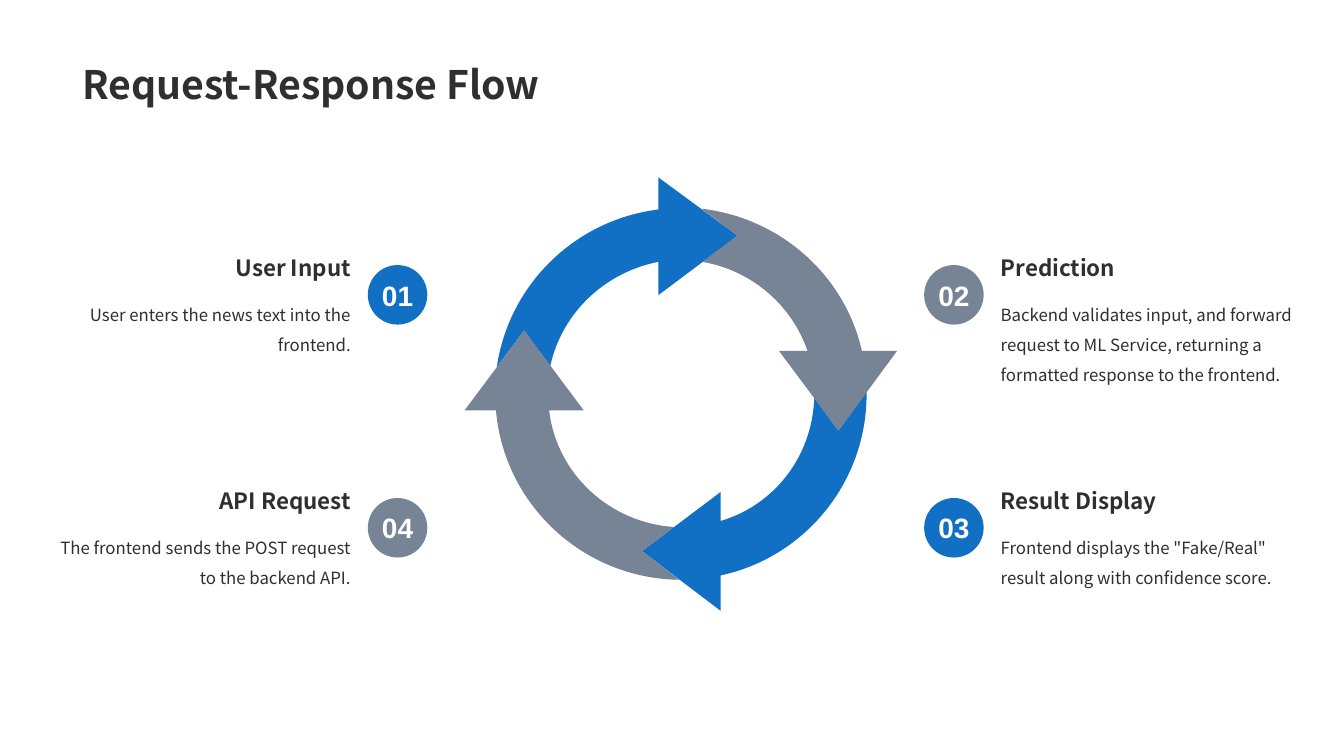
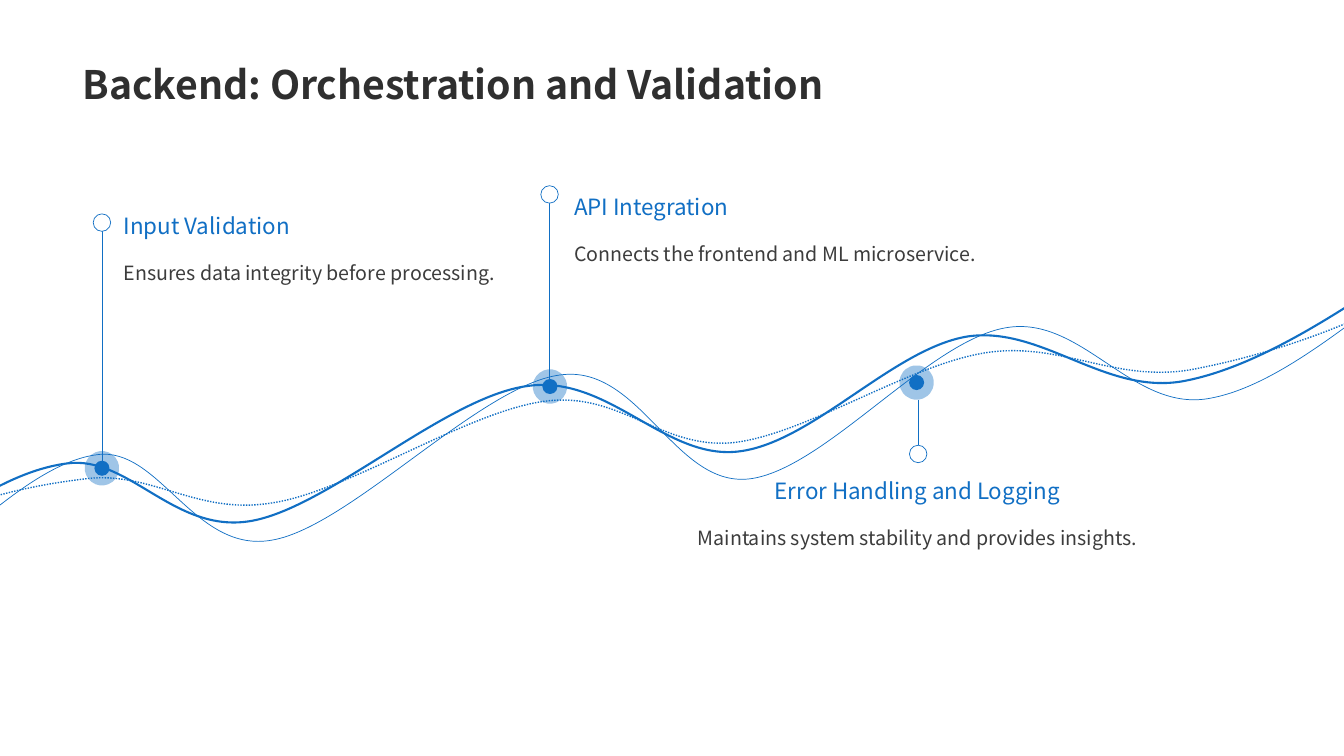
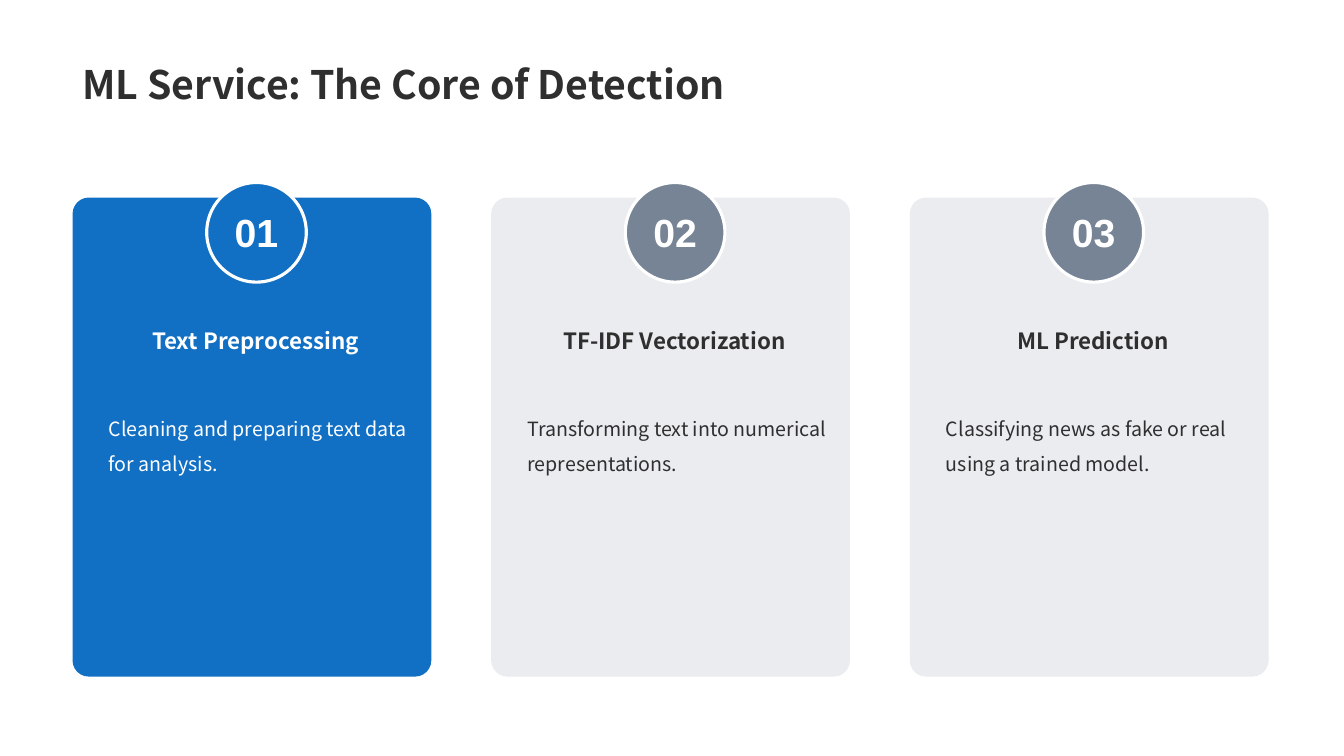
from typing import NamedTuple, Optional

from pptx import Presentation
from pptx.dml.color import RGBColor
from pptx.enum.dml import MSO_LINE
from pptx.enum.shapes import MSO_CONNECTOR, MSO_SHAPE
from pptx.enum.text import MSO_ANCHOR, PP_ALIGN
from pptx.oxml.ns import qn
from pptx.oxml.xmlchemy import OxmlElement
from pptx.util import Cm, Pt

BODY_FONT, NUMBER_FONT = "Noto Sans CJK SC", "Arial"
BLUE, GREY, INK, SOFT_INK, WHITE = "116FC4", "778495", "2F2F2F", "3C3C3C", "FFFFFF"
LEFT, CENTER, RIGHT = PP_ALIGN.LEFT, PP_ALIGN.CENTER, PP_ALIGN.RIGHT


class Box(NamedTuple):
    """Place and size in centimetres."""
    left: float
    top: float
    width: float
    height: float


class Step(NamedTuple):
    number: str
    heading: str
    body: str
    color: str
    on_left: bool
    top: float


class Wave(NamedTuple):
    weight: float
    dash: Optional[MSO_LINE]
    points: list


class Milestone(NamedTuple):
    heading: str
    body: str
    text_left: float
    text_top: float
    text_width: float
    align: PP_ALIGN
    dot: tuple
    pin_x: float
    pin_from: float
    pin_to: float
    ring_y: float


class Card(NamedTuple):
    number: str
    heading: str
    body: str
    color: str
    opacity: int
    badge_color: str
    text_color: str


# Each outline starts with a point; then one point is a line, three are a curve.
ARROWS = [
    (BLUE, (21.13, 10.85), [
        [(20.52, 10.03)],
        [(20.47, 11.51), (19.51, 12.73), (18.16, 13.13)],
        [(18.16, 12.4)], [(16.18, 13.89)], [(18.16, 15.39)], [(18.16, 14.5)],
        [(20.27, 14.05), (21.84, 12.17), (21.84, 9.93)],
        [(21.84, 9.88)]]),
    (BLUE, (13.21, 8.33), [
        [(13.87, 9.22)],
        [(14.15, 7.9), (15.24, 6.86), (16.59, 6.6)],
        [(16.59, 7.44)], [(18.59, 5.94)], [(16.59, 4.47)], [(16.59, 5.28)],
        [(14.5, 5.54), (12.83, 7.16), (12.52, 9.25)]]),
    (GREY, (16.18, 13.89), [
        [(16.99, 13.28)],
        [(15.37, 13.18), (14.02, 11.94), (13.84, 10.34)],
        [(14.71, 10.34)], [(13.21, 8.33)], [(11.71, 10.34)], [(12.5, 10.34)],
        [(12.7, 12.7), (14.68, 14.58), (17.12, 14.61)]]),
    (GREY, (21.72, 8.84), [
        [(21.29, 6.93), (19.66, 5.49), (17.68, 5.26)],
        [(18.59, 5.94)], [(17.7, 6.6)],
        [(18.95, 6.81), (19.96, 7.7), (20.35, 8.84)],
        [(19.63, 8.84)], [(21.13, 10.85)], [(22.61, 8.84)]]),
]

STEPS = [
    Step("01", "User Input", "User enters the news text into the frontend.",
         BLUE, True, 6.27),
    Step("02", "Prediction", "Backend validates input, and forward request to ML Service, "
         "returning a formatted response to the frontend.", GREY, False, 6.27),
    Step("03", "Result Display", 'Frontend displays the "Fake/Real" result along with '
         "confidence score.", BLUE, False, 12.14),
    Step("04", "API Request", "The frontend sends the POST request to the backend API.",
         GREY, True, 12.14),
]

WAVES = [
    Wave(1.5, None, [
        (-3.15, 14.4), (-1.52, 13.13), (0.1, 11.89), (1.68, 11.68), (3.25, 11.46),
        (4.39, 13.46), (6.32, 13.13), (8.26, 12.8), (11.23, 10.01), (13.28, 9.73),
        (15.32, 9.42), (16.74, 11.58), (18.59, 11.38), (20.45, 11.18), (22.5, 8.79),
        (24.38, 8.48), (26.26, 8.2), (27.86, 9.98), (29.85, 9.6), (31.83, 9.22),
        (34.04, 7.7), (36.27, 6.17)]),
    Wave(1, MSO_LINE.ROUND_DOT, [
        (-3.18, 14), (-1.55, 12.73), (0.46, 12.27), (2.13, 12.07), (3.81, 11.84),
        (4.95, 13), (6.88, 12.67), (8.81, 12.37), (11.79, 10.36), (13.74, 10.11),
        (15.67, 9.86), (16.66, 11.35), (18.52, 11.15), (20.35, 10.92), (22.91, 9.19),
        (24.84, 8.89), (26.77, 8.59), (28.12, 9.68), (30.1, 9.3), (32.08, 8.92),
        (34.67, 8.08), (36.88, 6.55)]),
    Wave(0.5, None, [
        (-2.62, 14.91), (-0.99, 13.64), (0.86, 11.66), (2.44, 11.46), (4.01, 11.23),
        (4.9, 13.97), (6.86, 13.61), (8.81, 13.28), (12.12, 9.7), (14.12, 9.45),
        (16.13, 9.17), (16.99, 12.27), (18.87, 12.07), (20.75, 11.86), (23.39, 8.59),
        (25.35, 8.26), (27.28, 7.92), (28.55, 10.44), (30.53, 10.03), (32.51, 9.65),
        (34.75, 7.47), (36.98, 5.97)]),
]

MILESTONES = [
    Milestone("Input Validation", "Ensures data integrity before processing.",
              2.87, 5.23, 10.01, LEFT, (2.57, 11.8), 2.57, 11.61, 5.56, 5.61),
    Milestone("API Integration", "Connects the frontend and ML microservice.",
              14.22, 4.75, 12.52, LEFT, (13.86, 9.74), 13.85, 9.55, 4.95, 4.9),
    Milestone("Error Handling and Logging", "Maintains system stability and provides insights.",
              16.71, 11.91, 12.83, CENTER, (23.1, 9.64), 23.14, 10.08, 11.43, 11.44),
]

CARDS = [
    Card("01", "Text Preprocessing", "Cleaning and preparing text data for analysis.",
         BLUE, 100, BLUE, WHITE),
    Card("02", "TF-IDF Vectorization", "Transforming text into numerical representations.",
         GREY, 15, GREY, INK),
    Card("03", "ML Prediction", "Classifying news as fake or real using a trained model.",
         GREY, 15, GREY, INK),
]


def rgb(color: str) -> RGBColor:
    return RGBColor.from_string(color)


def set_opacity(element, percent: int) -> None:
    for color in element.iter(qn("a:srgbClr")):
        alpha = OxmlElement("a:alpha")
        alpha.set("val", str(percent * 1000))
        color.append(alpha)


def write(shape, text: str, *, size: float, color: str = INK, font: str = BODY_FONT,
          bold: bool = False, align=LEFT, anchor=MSO_ANCHOR.TOP,
          spacing: float = 1.0, wrap: bool = True) -> None:
    """Fill a shape or text box with one formatted paragraph."""
    frame = shape.text_frame
    frame.word_wrap, frame.vertical_anchor = wrap, anchor
    paragraph = frame.paragraphs[0]
    paragraph.alignment, paragraph.line_spacing = align, spacing
    run = paragraph.add_run()
    run.text = text
    run.font.size, run.font.name, run.font.bold = Pt(size), font, bold
    run.font.color.rgb = rgb(color)


def add_text(slide, box: Box, text: str, **style) -> None:
    write(slide.shapes.add_textbox(*map(Cm, box)), text, **style)


def paint(shape, fill: Optional[str], line: Optional[str] = None, weight: float = 0) -> None:
    shape.shadow.inherit = False
    if fill:
        shape.fill.solid()
        shape.fill.fore_color.rgb = rgb(fill)
    else:
        shape.fill.background()
    if line:
        shape.line.color.rgb = rgb(line)
        shape.line.width = Pt(weight)
    else:
        shape.line.fill.background()


def add_figure(slide, kind, box: Box, fill: str, line: Optional[str] = None,
               weight: float = 0):
    shape = slide.shapes.add_shape(kind, *map(Cm, box))
    paint(shape, fill, line, weight)
    return shape


def add_circle(slide, center: tuple, size: float, fill: str, line: str, weight: float):
    box = Box(center[0] - size / 2, center[1] - size / 2, size, size)
    return add_figure(slide, MSO_SHAPE.OVAL, box, fill, line, weight)


def add_outline(slide, start: tuple, segments: list, close: bool):
    """Draw a freeform; segments of three points become Bezier curves."""
    builder = slide.shapes.build_freeform(Cm(start[0]), Cm(start[1]))
    points = [(Cm(x), Cm(y)) for segment in segments for x, y in segment]
    builder.add_line_segments(points, close=close)
    shape = builder.convert_to_shape()
    lines = iter(list(shape._element.iter(qn("a:lnTo"))))
    for segment in segments:
        parts = [next(lines) for _ in segment]
        if len(parts) == 3:
            curve = OxmlElement("a:cubicBezTo")
            parts[0].addprevious(curve)
            for part in parts:
                curve.append(part[0])
                part.getparent().remove(part)
    return shape


def add_pin_line(slide, x: float, y_from: float, y_to: float) -> None:
    line = slide.shapes.add_connector(MSO_CONNECTOR.STRAIGHT, Cm(x), Cm(y_from),
                                      Cm(x), Cm(y_to))
    line.line.color.rgb = rgb(BLUE)
    line.line.width = Pt(0.5)
    line._element.spPr.append(OxmlElement("a:effectLst"))


def add_slide(deck, title: str):
    slide = deck.slides.add_slide(deck.slide_layouts[6])
    add_text(slide, Box(1.83, 0, 30.18, 2.84), title, size=28, bold=True,
             anchor=MSO_ANCHOR.BOTTOM, spacing=0.9)
    return slide


def add_step(slide, step: Step) -> None:
    left, badge_left, align = (1.24, 9.27, RIGHT) if step.on_left else (24.97, 23.29, LEFT)
    add_text(slide, Box(left, step.top, 7.85, 0.94), step.heading, size=16, bold=True,
             align=align, anchor=MSO_ANCHOR.BOTTOM)
    add_text(slide, Box(left, step.top + 1.02, 7.85, 2.46), step.body, size=12,
             align=align, spacing=1.5)
    badge = add_figure(slide, MSO_SHAPE.ROUNDED_RECTANGLE,
                       Box(badge_left, step.top + 0.41, 1.5, 1.5), step.color)
    badge.adjustments[0] = 0.5
    write(badge, step.number, size=20, color=WHITE, font=NUMBER_FONT, bold=True,
          align=CENTER, anchor=MSO_ANCHOR.MIDDLE, wrap=False)


def add_wave(slide, wave: Wave) -> None:
    start, *rest = wave.points
    curves = [rest[i:i + 3] for i in range(0, len(rest), 3)]
    shape = add_outline(slide, start, curves, close=False)
    paint(shape, None, BLUE, wave.weight)
    if wave.dash:
        shape.line.dash_style = wave.dash


def add_milestone(slide, item: Milestone) -> None:
    dot = add_circle(slide, item.dot, 0.38, BLUE, BLUE, 14)
    set_opacity(dot._element.spPr.find(qn("a:ln")), 40)
    add_pin_line(slide, item.pin_x, item.pin_from, item.pin_to)
    add_circle(slide, (item.pin_x, item.ring_y), 0.44, WHITE, BLUE, 0.5)
    add_text(slide, Box(item.text_left, item.text_top, item.text_width, 0.94),
             item.heading, size=16, color=BLUE, align=item.align)
    add_text(slide, Box(item.text_left, item.text_top + 0.92, item.text_width, 1.04),
             item.body, size=14, color=SOFT_INK, align=item.align, spacing=1.5)


def add_card(slide, card: Card, left: float) -> None:
    panel = add_figure(slide, MSO_SHAPE.ROUNDED_RECTANGLE,
                       Box(left, 4.98, 9.04, 12.07), card.color)
    panel.adjustments[0] = 0.045
    if card.opacity < 100:
        set_opacity(panel._element.spPr, card.opacity)
    add_text(slide, Box(left + 0.66, 10.08, 8.05, 5.54), card.body, size=14,
             color=card.text_color, spacing=1.5)
    add_text(slide, Box(left + 0.5, 8.13, 8.23, 0.94), card.heading, size=16,
             color=card.text_color, bold=True, align=CENTER)
    badge = add_figure(slide, MSO_SHAPE.OVAL, Box(left + 3.38, 4.6, 2.51, 2.51),
                       card.badge_color, WHITE, 2.25)
    write(badge, card.number, size=28, color=WHITE, font=NUMBER_FONT, bold=True,
          align=CENTER, anchor=MSO_ANCHOR.MIDDLE)


def main() -> None:
    deck = Presentation()
    deck.slide_width, deck.slide_height = Cm(33.87), Cm(19.05)

    flow = add_slide(deck, "Request-Response Flow")
    for color, start, segments in ARROWS:
        paint(add_outline(flow, start, segments, close=True), color)
    for step in STEPS:
        add_step(flow, step)

    backend = add_slide(deck, "Backend: Orchestration and Validation")
    for wave in WAVES:
        add_wave(backend, wave)
    for milestone in MILESTONES:
        add_milestone(backend, milestone)

    service = add_slide(deck, "ML Service: The Core of Detection")
    for index, card in enumerate(CARDS):
        add_card(service, card, 1.83 + index * 10.55)

    deck.save("out.pptx")


if __name__ == "__main__":
    main()
